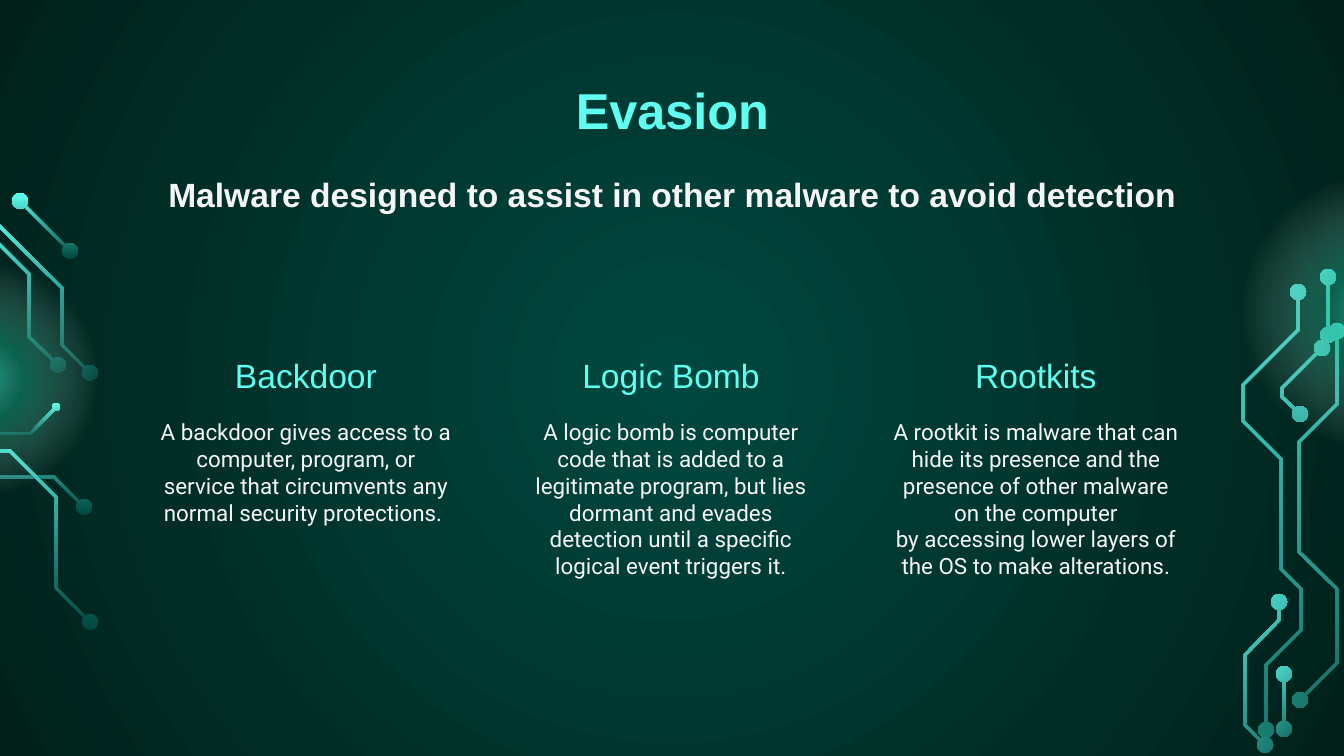
from math import asin, cos, pi, radians, sin

from lxml.etree import SubElement
from pptx import Presentation
from pptx.dml.color import RGBColor
from pptx.enum.shapes import MSO_SHAPE
from pptx.enum.text import MSO_ANCHOR, MSO_AUTO_SIZE, PP_ALIGN
from pptx.oxml.ns import qn
from pptx.util import Pt

PX = 914400 / 134.4
AQUA = RGBColor(0x5F, 0xFF, 0xF1)
MINT = RGBColor(0x21, 0xC7, 0x9D)
TEAL = RGBColor(0x00, 0x48, 0x3F)
NIGHT = RGBColor(0x00, 0x21, 0x1A)
WHITE = RGBColor(0xFF, 0xFF, 0xFF)
PALE = RGBColor(0xF5, 0xF5, 0xF5)

# Wording
TITLE = "Evasion"
STATEMENT = "Malware designed to assist in other malware to avoid detection"
COLUMNS = [
    ("Backdoor", ["A backdoor gives access to a computer, program, or service that "
                  "circumvents any normal security protections. "]),
    ("Logic Bomb", ["A logic bomb is computer code that is added to a legitimate program, "
                    "but lies dormant and evades detection until a specific logical event "
                    "triggers it."]),
    ("Rootkits", ["A rootkit is malware that can hide its presence and the presence of "
                  "other malware on the computer",
                  "by accessing lower layers of the OS to make alterations."]),
]

# Text styles
TITLE_STYLE = dict(name="Arial", size=Pt(27), bold=True, color=AQUA)
STATEMENT_STYLE = dict(name="Arial", size=Pt(18), bold=True, color=PALE)
HEADING_STYLE = dict(name="Arial", size=Pt(18), bold=False, color=AQUA)
BODY_STYLE = dict(name="Roboto", size=Pt(12), bold=False, color=PALE)

# Gradients: (position %, colour, opacity %)
BACKDROP = [(0, TEAL, 100), (100, NIGHT, 100)]
TRACE = [(0, TEAL, 100), (100, AQUA, 100)]
GLOW = [(0, AQUA, 55), (23, MINT, 37), (62, WHITE, 0), (100, WHITE, 0)]
GLOWS = [(-151, 246, 265), (1222, 155, 314)]  # left, top, diameter

# Circuit traces: turn in degrees, node radius at start and end, routes
HALF_WIDTH, NODE, DOT, FLAT = 1.5, 8, 4, 0
TRACES = [
    (180, FLAT, NODE, [[(-109, 406), (-109, 424), (-56, 477), (54, 477), (84, 507)]]),
    (180, NODE, NODE, [[(-70, 209), (-18, 209), (62, 288), (62, 345), (90, 373)]]),
    (180, FLAT, NODE, [[(-142, 405), (-142, 409), (-101, 451), (10, 451), (56, 497),
                        (56, 588), (90, 622)]]),
    (180, NODE, NODE, [[(-28, 217), (29, 274), (29, 337), (58, 365)]]),
    (180, FLAT, DOT, [[(-75, 421), (-63, 434), (30, 434), (56, 407)]]),
    (180, NODE, NODE, [[(20, 201), (70, 251)]]),
    (135, NODE, NODE, [[(1300, 700), (1337, 663), (1337, 589), (1299, 552), (1299, 442),
                        (1337, 404), (1337, 331)],
                       [(1328, 277), (1328, 335)],
                       [(1322, 348), (1282, 388), (1282, 397), (1300, 414)]]),
    (135, NODE, NODE, [[(1266, 730), (1266, 665), (1301, 630), (1301, 589), (1281, 569),
                        (1281, 459), (1243, 421), (1243, 385), (1298, 330), (1298, 292)]]),
    (135, NODE, NODE, [[(1284, 729), (1284, 674)]]),
    (135, NODE, NODE, [[(1265, 745), (1245, 725), (1245, 655), (1279, 620), (1279, 602)]]),
]


def px(value):
    return round(value * PX)


def polar(angle):
    return complex(cos(angle), sin(angle))


def unit(vector):
    return vector / abs(vector)


def paint(fill, holder, stops, radial=False):
    """Fill with gradient stops, downward or from the centre outward."""
    fill.gradient()
    gradient = next(holder.iter(qn("a:gradFill")))
    for child in list(gradient):
        gradient.remove(child)
    stop_list = SubElement(gradient, qn("a:gsLst"))
    for position, color, opacity in stops:
        stop = SubElement(stop_list, qn("a:gs"), pos=str(position * 1000))
        tint = SubElement(stop, qn("a:srgbClr"), val=str(color))
        if opacity < 100:
            SubElement(tint, qn("a:alpha"), val=str(opacity * 1000))
    if radial:
        center = SubElement(gradient, qn("a:path"), path="circle")
        SubElement(center, qn("a:fillToRect"), l="50000", t="50000", r="50000", b="50000")
    else:
        SubElement(gradient, qn("a:lin"), ang="5400000", scaled="0")


def side(route):
    """Corners along one side of a route, mitred."""
    corners = []
    for before, point, after in zip(route, route[1:], route[2:]):
        arrive, leave = unit(point - before), unit(after - point)
        middle = unit(arrive + leave)
        reach = HALF_WIDTH / (middle * arrive.conjugate()).real
        corners.append(point + 1j * middle * reach)
    return corners


def cap(before, point, radius, steps=24):
    """End of a route: a round node, or a flat cut when radius is 0."""
    heading = unit(point - before)
    if not radius:
        return [point + 1j * heading * HALF_WIDTH, point - 1j * heading * HALF_WIDTH]
    sweep = pi - asin(HALF_WIDTH / radius)
    return [point + radius * heading * polar(sweep * (1 - 2 * i / steps))
            for i in range(steps + 1)]


def push_out(point, nodes):
    """Keep a point outside the nodes already drawn."""
    for center, radius in nodes:
        if abs(point - center) < radius:
            point = center + radius * unit(point - center)
    return point


def add_trace(page, turn, start_radius, end_radius, routes):
    spin = polar(radians(turn))
    contours, nodes = [], []
    for corners in routes:
        route = [complex(*corner) for corner in corners]
        back = route[::-1]
        outline = (side(route) + cap(route[-2], route[-1], end_radius)
                   + side(back) + cap(back[-2], back[-1], start_radius))
        local = [push_out(point, nodes) / spin for point in outline]
        contours.append([(px(point.real), px(point.imag)) for point in local])
        nodes += [(route[0], start_radius), (route[-1], end_radius)]

    builder = page.shapes.build_freeform(*contours[0][0], scale=1.0)
    for number, contour in enumerate(contours):
        if number:
            builder.move_to(*contour[0])
        builder.add_line_segments(contour[1:], close=True)
    shape = builder.convert_to_shape()
    center = spin * complex(shape.left + shape.width / 2, shape.top + shape.height / 2)
    shape.left = round(center.real - shape.width / 2)
    shape.top = round(center.imag - shape.height / 2)
    shape.rotation = turn
    finish(shape, TRACE)


def finish(shape, stops, radial=False):
    shape.shadow.inherit = False
    shape.line.fill.background()
    paint(shape.fill, shape.element.spPr, stops, radial)


def write(box, area, paragraphs, style, anchor=MSO_ANCHOR.TOP):
    box.left, box.top, box.width, box.height = map(px, area)
    frame = box.text_frame
    frame.text = "\n".join(paragraphs)
    layout = dict(word_wrap=True, auto_size=MSO_AUTO_SIZE.NONE, vertical_anchor=anchor)
    layout.update({f"margin_{edge}": px(13) for edge in ("left", "top", "right", "bottom")})
    for key, value in layout.items():
        setattr(frame, key, value)
    for para in frame.paragraphs:
        para.alignment = PP_ALIGN.CENTER
        for span in para.runs:
            for key, value in style.items():
                if key == "color":
                    span.font.color.rgb = value
                else:
                    setattr(span.font, key, value)


def add_text(page, *details):
    write(page.shapes.add_textbox(0, 0, 0, 0), *details)


def main():
    deck = Presentation()
    deck.slide_width, deck.slide_height = px(1344), px(756)
    page = deck.slides.add_slide(deck.slide_layouts.get_by_name("Title Only"))
    paint(page.background.fill, page.element, BACKDROP, radial=True)

    # Circuit decoration
    for trace in TRACES:
        add_trace(page, *trace)
    for left, top, size in GLOWS:
        glow = page.shapes.add_shape(MSO_SHAPE.OVAL, *map(px, (left, top, size, size)))
        finish(glow, GLOW, radial=True)

    # Title and statement
    write(page.shapes.title, (106, 66, 1133, 85), [TITLE], TITLE_STYLE)
    add_text(page, (106, 161, 1133, 85), [STATEMENT], STATEMENT_STYLE)

    # Three columns
    for number, (heading, body) in enumerate(COLUMNS):
        left = 146 + 365 * number
        add_text(page, (left, 294, 320, 114), [heading], HEADING_STYLE, MSO_ANCHOR.BOTTOM)
        add_text(page, (left, 405, 320, 277), body, BODY_STYLE)

    deck.save("out.pptx")


if __name__ == "__main__":
    main()
